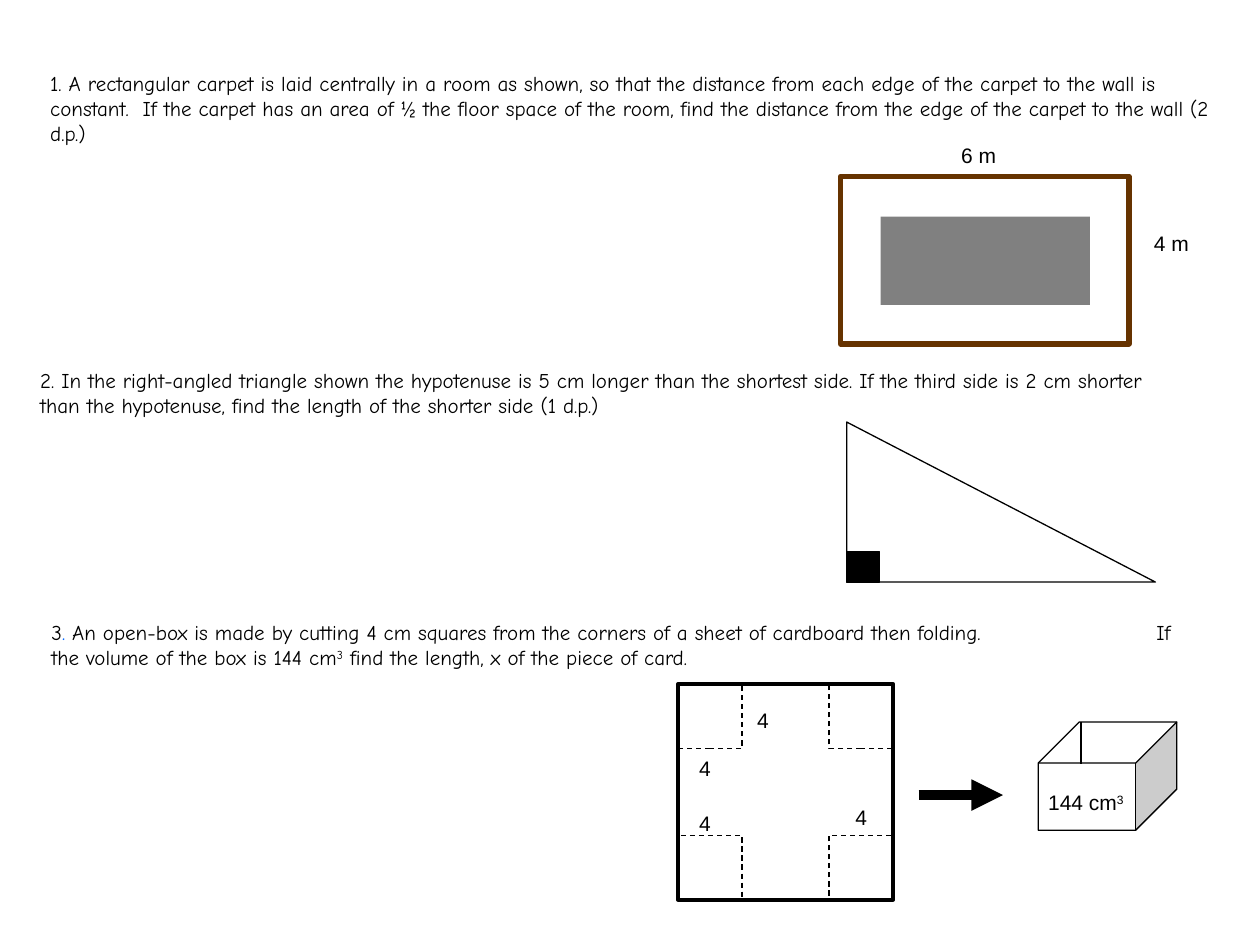
from pptx import Presentation
from pptx.dml.color import RGBColor
from pptx.enum.dml import MSO_LINE
from pptx.enum.shapes import MSO_CONNECTOR, MSO_SHAPE as Kind
from pptx.oxml.ns import qn
from pptx.util import Inches, Pt
from lxml.etree import SubElement

INK = {"black": "000000", "white": "FFFFFF", "blue": "0066FF",
       "wall": "663300", "rug": "808080"}
HAND, PLAIN = "Comic Neue", "Arial"


def color(name):
    return RGBColor.from_string(INK[name])


def place(box):
    return [Inches(n) for n in box]


def add_text(slide, box, parts, face=PLAIN, tab=None):
    """Add a text box; each part is words, or (words, ink, raised)."""
    frame = slide.shapes.add_textbox(*place(box)).text_frame
    frame.word_wrap = True
    para = frame.paragraphs[0]
    if tab:
        tabs = SubElement(para._p.get_or_add_pPr(), qn("a:tabLst"))
        SubElement(tabs, qn("a:tab"), pos=str(Inches(tab)), algn="l")
    for part in parts:
        words, ink, raised = (part, "black", False) if isinstance(part, str) else part
        run = para.add_run()
        run.text = words
        font = run.font
        font.name, font.size = face, Pt(12)
        font.color.rgb = color(ink)
        if raised:
            font._element.set("baseline", "30000")


def add_shape(slide, kind, box, fill=None, line=None, width=0.75, dash=False):
    shape = slide.shapes.add_shape(kind, *place(box))
    shape.shadow.inherit = False
    if fill:
        shape.fill.solid()
        shape.fill.fore_color.rgb = color(fill)
    else:
        shape.fill.background()
    if line:
        shape.line.color.rgb = color(line)
        shape.line.width = Pt(width)
        if dash:
            shape.line.dash_style = MSO_LINE.DASH
    else:
        shape.line.fill.background()
    return shape


def add_line(slide, ends, width=0.75, arrow=False):
    line = slide.shapes.add_connector(MSO_CONNECTOR.STRAIGHT, *place(ends))
    line.line.color.rgb = color("black")
    line.line.width = Pt(width)
    if arrow:
        SubElement(line.line._get_or_add_ln(), qn("a:tailEnd"), type="triangle")
    SubElement(line._element.spPr, qn("a:effectLst"))


def add_carpet(slide):
    add_text(slide, (0.3, 0.51, 9.45, 0.7), [
        "1. A rectangular carpet is laid centrally in a room as shown, so that "
        "the distance from each edge of the carpet to the wall is constant.  If "
        "the carpet has an area of ½ the floor space of the room, find the "
        "distance from the edge of the carpet to the wall (2 d.p.)"], HAND)
    add_shape(slide, Kind.RECTANGLE, (6.67, 1.4, 2.29, 1.33), "white", "wall", 3)
    add_shape(slide, Kind.RECTANGLE, (6.99, 1.72, 1.66, 0.7), "rug")
    add_text(slide, (7.53, 1.08, 0.82, 0.3), ["6 m"])
    add_text(slide, (9.06, 1.78, 0.6, 0.3), ["4 m"])


def add_triangle(slide):
    add_text(slide, (0.22, 2.87, 9.25, 0.5), [
        "2. In the right-angled triangle shown the hypotenuse is 5 cm longer "
        "than the shortest side. If the third side is 2 cm shorter than the "
        "hypotenuse, find the length of the shorter side (1 d.p.)"], HAND)
    add_shape(slide, Kind.RIGHT_TRIANGLE, (6.72, 3.35, 2.45, 1.27), line="black")
    add_shape(slide, Kind.RECTANGLE, (6.72, 4.38, 0.26, 0.24), "black", "black")


def add_card(slide):
    left, top, side, cut = 5.38, 5.43, 1.71, 0.51
    add_shape(slide, Kind.RECTANGLE, (left, top, side, side), None, "black", 2.25)
    for x in (left, left + side - cut):
        for y in (top, top + side - cut):
            add_shape(slide, Kind.RECTANGLE, (x, y, cut, cut), line="black", dash=True)
    for x, y in ((5.45, 5.95), (5.91, 5.57), (5.45, 6.38), (6.69, 6.34)):
        add_text(slide, (x, y, 0.31, 0.3), ["4"])


def add_box(slide):
    cube = add_shape(slide, Kind.CUBE, (8.24, 5.73, 1.1, 0.86), "white", "black")
    cube.adjustments[0] = 0.38
    add_line(slide, (8.58, 5.73, 8.58, 6.06))
    add_text(slide, (8.22, 6.22, 1.19, 0.3), ["144 cm", ("3", "black", True)])


def add_folding(slide):
    add_text(slide, (0.31, 4.87, 9.16, 0.5), [
        "3", (". ", "blue", False),
        "An open-box is made by cutting 4 cm squares from the corners of a sheet "
        "of cardboard then folding.\tIf the volume of the box is 144 cm",
        ("3", "black", True),
        " find the length, x of the piece of card."], HAND, tab=8.77)
    add_card(slide)
    add_line(slide, (7.29, 6.31, 7.96, 6.31), 6, arrow=True)
    add_box(slide)


def main():
    deck = Presentation()
    deck.slide_width, deck.slide_height = Inches(10), Inches(7.5)
    slide = deck.slides.add_slide(deck.slide_layouts[6])
    add_carpet(slide)
    add_triangle(slide)
    add_folding(slide)
    deck.save("out.pptx")


if __name__ == "__main__":
    main()
